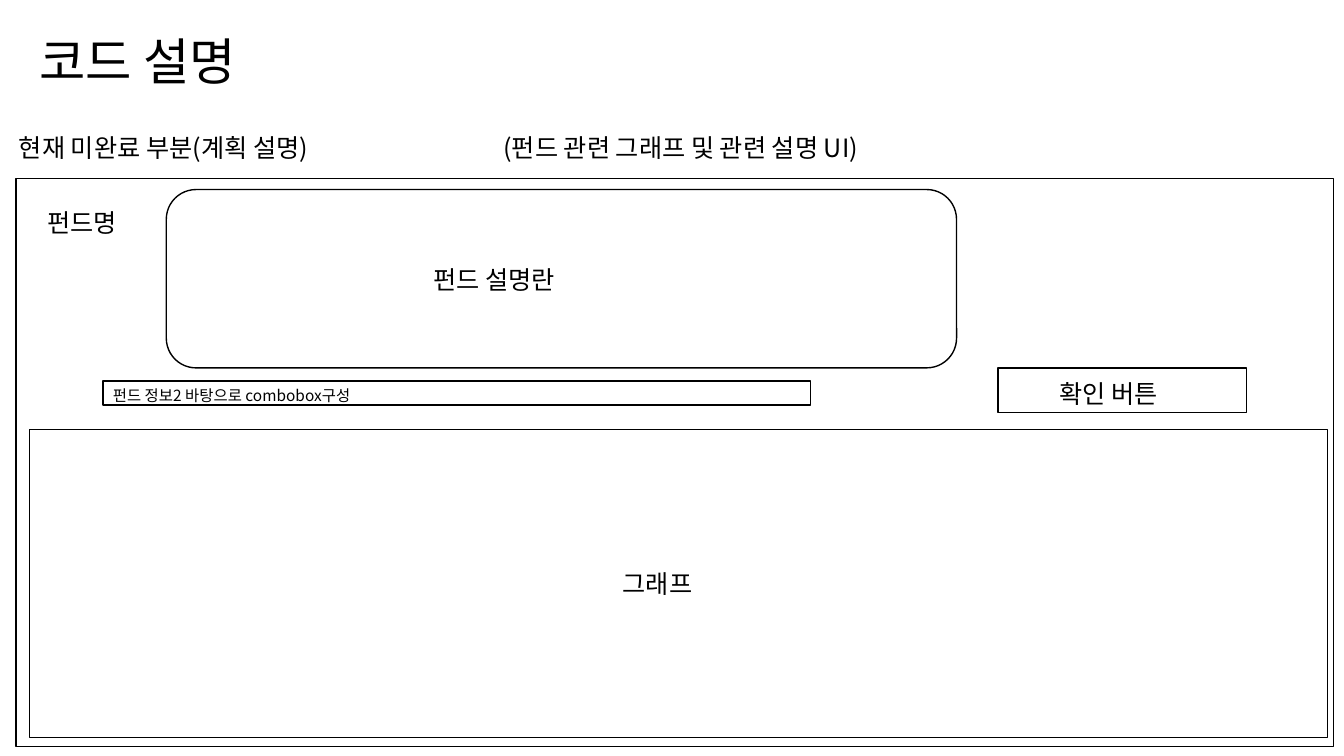
from lxml.etree import SubElement
from pptx import Presentation
from pptx.dml.color import RGBColor
from pptx.enum.shapes import MSO_SHAPE
from pptx.enum.text import MSO_ANCHOR, PP_ALIGN
from pptx.oxml.ns import qn
from pptx.util import Pt

FONT = "Noto Sans CJK KR"
INK, PAPER = "000000", "FFFFFF"


def color(code):
    """Turn a hex string into a colour."""
    return RGBColor.from_string(code)


def place(item, box):
    """Move an item to a box given in points."""
    item.left, item.top, item.width, item.height = map(Pt, box)


def shift(box, part):
    """Return a part of a box in slide points."""
    left, top, width, height = part
    return box[0] + left, box[1] + top, width, height


def write(item, text, size=18, tab=None):
    """Fill an item with left-aligned text, with an optional tab stop."""
    frame = item.text_frame
    frame.word_wrap = True
    frame.vertical_anchor = MSO_ANCHOR.TOP
    para = frame.paragraphs[0]
    para.alignment = PP_ALIGN.LEFT
    if tab:
        stops = SubElement(para._p.get_or_add_pPr(), qn("a:tabLst"))
        SubElement(stops, qn("a:tab"), pos=str(Pt(tab)), algn="l")
    run = para.add_run()
    run.text = text
    run.font.size = Pt(size)
    run.font.name = FONT
    run.font.color.rgb = color(INK)
    SubElement(run.font._element, qn("a:ea"), typeface=FONT)


def label(slide, box, text, **style):
    """Add a text box."""
    write(slide.shapes.add_textbox(*map(Pt, box)), text, **style)


def panel(slide, box, kind=MSO_SHAPE.RECTANGLE):
    """Add a white outlined shape."""
    item = slide.shapes.add_shape(kind, *map(Pt, box))
    item.shadow.inherit = False
    item.fill.solid()
    item.fill.fore_color.rgb = color(PAPER)
    item.line.color.rgb = color(INK)
    item.line.width = Pt(1)


def header(slide, box):
    """Place the title and the line on the open work."""
    title = slide.shapes.title
    place(title, shift(box, (14.5, 0, 468, 51)))
    write(title, "코드 설명", size=36)
    label(slide, shift(box, (0, 73, box[2], 29)),
          "현재 미완료 부분(계획 설명)\t(펀드 관련 그래프 및 관련 설명 UI)", tab=346)


def mockup(slide, box):
    """Place the planned fund screen with its labelled fields."""
    panel(slide, box)
    label(slide, shift(box, (15, 17.3, 198, 29)), "펀드명")
    fields = [
        ((107.3, 8, 564.5, 127.4), MSO_SHAPE.ROUNDED_RECTANGLE,
         (291, 57.6, 359, 29), "펀드 설명란", 18),
        ((62, 144.7, 505.4, 17.3), MSO_SHAPE.RECTANGLE,
         (62, 144.7, 476.6, 21), "펀드 정보2 바탕으로 combobox구성", 11),
        ((9.4, 179.3, 927.4, 220.3), MSO_SHAPE.RECTANGLE,
         (426.2, 275, 88.6, 29), "그래프", 18),
        ((701.3, 135.4, 177.8, 31.7), MSO_SHAPE.RECTANGLE,
         (738, 139, 134, 29), "확인 버튼", 18),
    ]
    for frame, kind, spot, text, size in fields:
        panel(slide, shift(box, frame), kind)
        label(slide, shift(box, spot), text, size=size)


def main():
    """Build and save the slide."""
    deck = Presentation()
    deck.slide_width, deck.slide_height = Pt(960), Pt(540)
    slide = deck.slides.add_slide(deck.slide_layouts[5])
    header(slide, (6.5, 18, 941, 102))
    mockup(slide, (11.5, 127.4, 941, 406))
    deck.save("out.pptx")


main()
